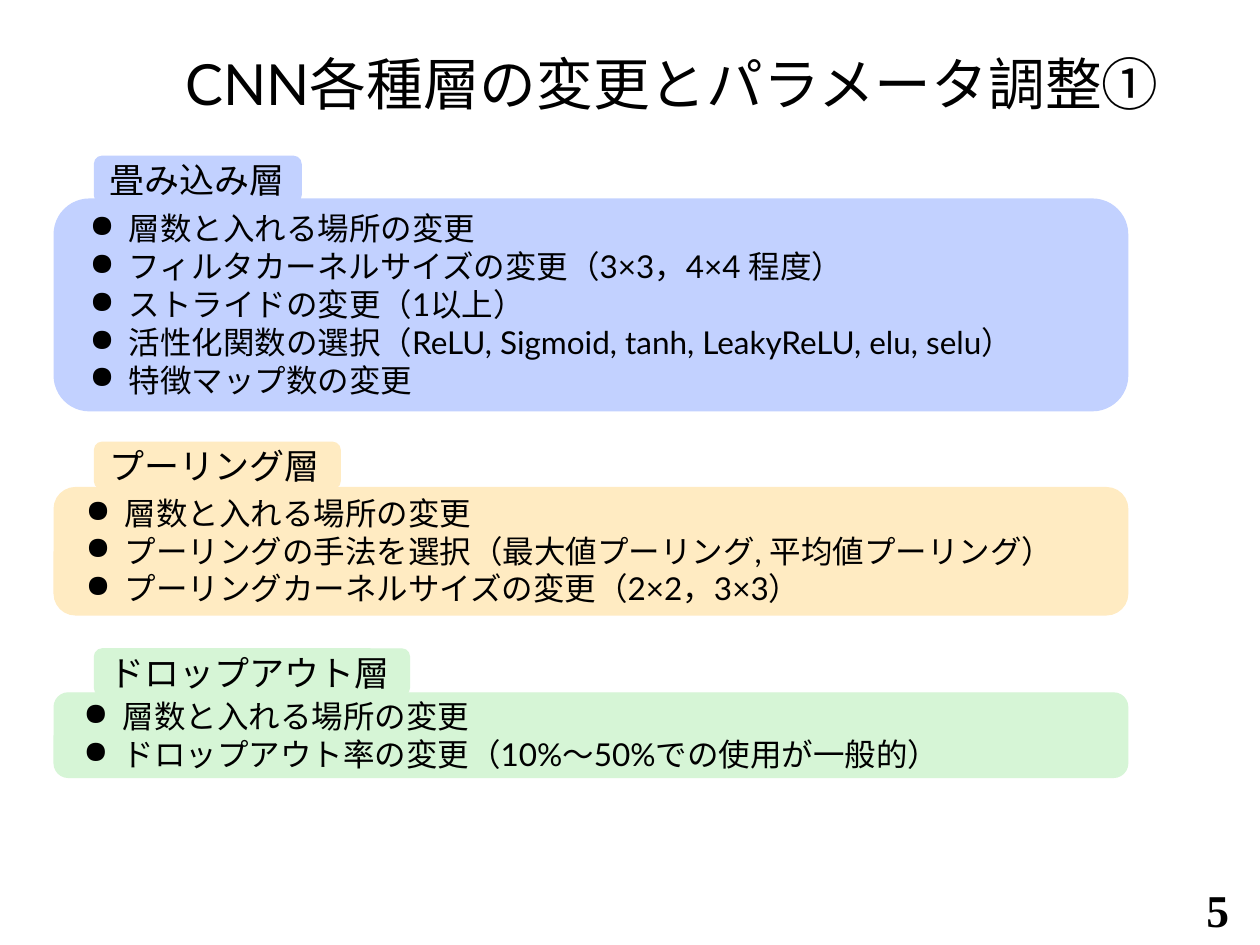
import pptx
import pptx.dml.color
import pptx.enum.shapes
import pptx.enum.text
import pptx.util
from pptx.oxml.xmlchemy import OxmlElement

Inches = pptx.util.Inches
Pt = pptx.util.Pt
RGBColor = pptx.dml.color.RGBColor
Align = pptx.enum.text.PP_ALIGN
Anchor = pptx.enum.text.MSO_ANCHOR
AutoSize = pptx.enum.text.MSO_AUTO_SIZE

BLACK = RGBColor(0x00, 0x00, 0x00)
BLUE = RGBColor(0xC2, 0xD1, 0xFF)
CREAM = RGBColor(0xFF, 0xEB, 0xC2)
GREEN = RGBColor(0xD6, 0xF5, 0xD6)

TITLE = "CNN各種層の変更とパラメータ調整①"
PAGE_NUMBER = "5"
LAYERS = [
    {"name": "畳み込み層", "color": BLUE, "tab_top": 1.24, "tab_width": 1.64,
     "panel_top": 1.58, "panel_height": 1.68,
     "items": ["層数と入れる場所の変更",
               "フィルタカーネルサイズの変更（3×3，4×4 程度）",
               "ストライドの変更（1以上）",
               "活性化関数の選択（ReLU, Sigmoid, tanh, LeakyReLU, elu, selu）",
               "特徴マップ数の変更"]},
    {"name": "プーリング層", "color": CREAM, "tab_top": 3.51, "tab_width": 1.95,
     "panel_top": 3.87, "panel_height": 1.01,
     "items": ["層数と入れる場所の変更",
               "プーリングの手法を選択（最大値プーリング, 平均値プーリング）",
               "プーリングカーネルサイズの変更（2×2，3×3）"]},
    {"name": "ドロップアウト層", "color": GREEN, "tab_top": 5.15, "tab_width": 2.5,
     "panel_top": 5.5, "panel_height": 0.67,
     "items": ["層数と入れる場所の変更",
               "ドロップアウト率の変更（10%～50%での使用が一般的）"]},
]
TAB_LEFT, TAB_HEIGHT = 0.75, 0.37
PANEL_LEFT, PANEL_WIDTH = 0.43, 8.52
BULLET_INDENT = 0.31


def add_bullet(para):
    """Give a paragraph a round bullet with a hanging indent."""
    properties = para._p.get_or_add_pPr()
    properties.set("marL", str(Inches(BULLET_INDENT)))
    properties.set("indent", str(-Inches(BULLET_INDENT)))
    bullet = OxmlElement("a:buChar")
    bullet.set("char", "●")
    properties.append(bullet)


def write_text(shape, lines, size, font="Lato", bold=False, align=Align.LEFT,
               anchor=Anchor.TOP, insets=(0.1, 0.05, 0.1, 0.05),
               bullets=False, line_spacing=None, auto_size=AutoSize.NONE):
    """Fill a shape with one paragraph per line, formatted alike."""
    frame = shape.text_frame
    frame.word_wrap = True
    frame.auto_size = auto_size
    frame.vertical_anchor = anchor
    (frame.margin_left, frame.margin_top,
     frame.margin_right, frame.margin_bottom) = map(Inches, insets)
    for index, line in enumerate(lines):
        para = frame.add_paragraph() if index else frame.paragraphs[0]
        para.alignment = align
        if line_spacing:
            para.line_spacing = line_spacing
        if bullets:
            add_bullet(para)
        span = para.add_run()
        span.text = line
        span.font.name = font
        span.font.size = Pt(size)
        span.font.bold = bold
        span.font.color.rgb = BLACK


def add_rounded_box(page, left, top, width, height, color):
    """Add a rounded rectangle whose fill and outline share one colour."""
    box = page.shapes.add_shape(
        pptx.enum.shapes.MSO_SHAPE.ROUNDED_RECTANGLE,
        Inches(left), Inches(top), Inches(width), Inches(height))
    box.shadow.inherit = False
    box.fill.solid()
    box.fill.fore_color.rgb = color
    box.line.color.rgb = color
    box.line.width = Pt(0.75)
    return box


def add_layer(page, layer):
    """Add the named tab and the bulleted panel of one layer type."""
    tab = add_rounded_box(page, TAB_LEFT, layer["tab_top"],
                          layer["tab_width"], TAB_HEIGHT, layer["color"])
    write_text(tab, [layer["name"]], 20, insets=(0.1, 0, 0.1, 0),
               auto_size=AutoSize.SHAPE_TO_FIT_TEXT)
    panel = add_rounded_box(page, PANEL_LEFT, layer["panel_top"],
                            PANEL_WIDTH, layer["panel_height"], layer["color"])
    write_text(panel, layer["items"], 18, insets=(0.2, 0, 0, 0), bullets=True,
               auto_size=AutoSize.SHAPE_TO_FIT_TEXT)


deck = pptx.Presentation()
deck.slide_width, deck.slide_height = Inches(10), Inches(7.5)
page = deck.slides.add_slide(deck.slide_layouts.get_by_name("Title Only"))

title = page.shapes.title
title.left, title.top = Inches(1.37), Inches(0.15)
title.width, title.height = Inches(8.5), Inches(1)
write_text(title, [TITLE], 32.4, anchor=Anchor.MIDDLE,
           insets=(0.1, 0.2, 0.1, 0.12), line_spacing=0.9)

for layer in LAYERS:
    add_layer(page, layer)

number_box = page.shapes.add_textbox(Inches(9.31), Inches(6.94),
                                     Inches(0.71), Inches(0.54))
write_text(number_box, [PAGE_NUMBER], 26, font="Times New Roman", bold=True,
           align=Align.CENTER, anchor=Anchor.BOTTOM,
           auto_size=AutoSize.SHAPE_TO_FIT_TEXT)

deck.save("out.pptx")
